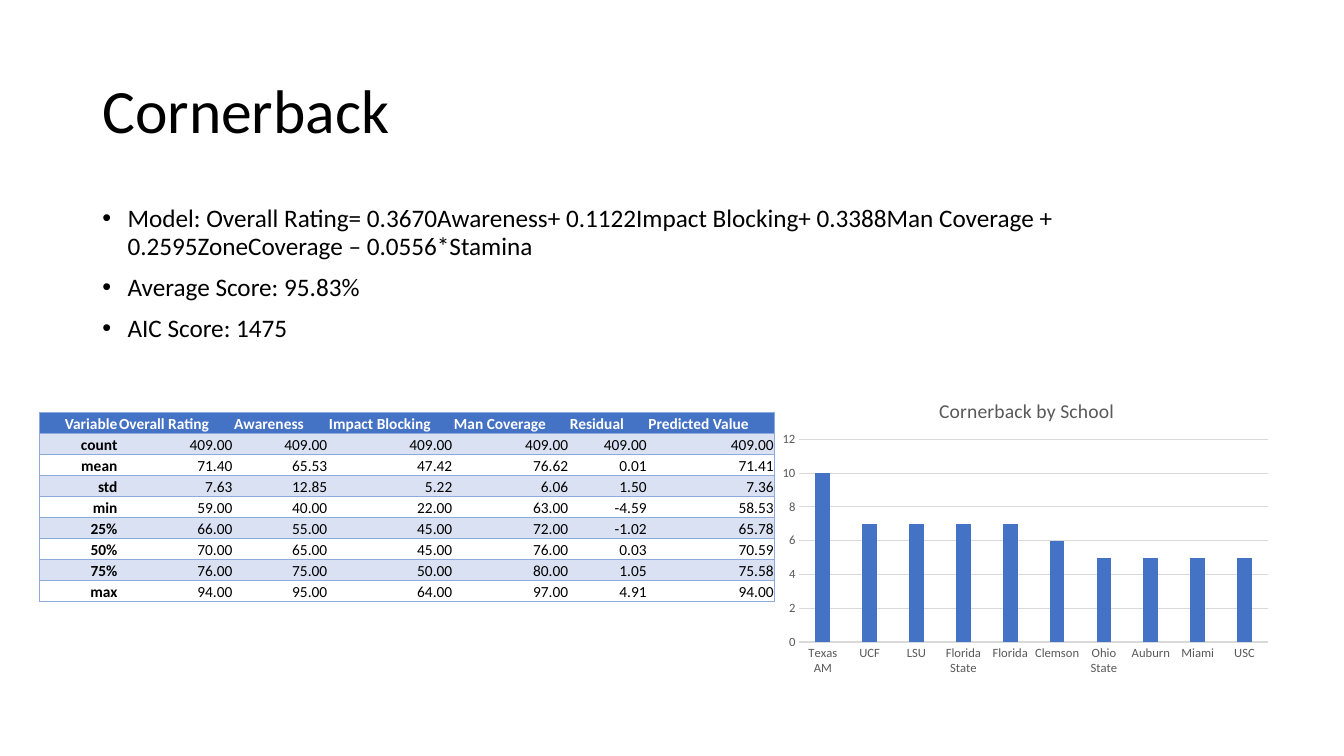
"""Build the Cornerback model summary slide."""
from dataclasses import dataclass

from lxml.etree import SubElement
from pptx import Presentation
from pptx.chart.data import CategoryChartData
from pptx.dml.color import RGBColor
from pptx.enum.chart import XL_CHART_TYPE as CHART, XL_TICK_MARK as TICK
from pptx.enum.text import MSO_ANCHOR as ANCHOR, PP_ALIGN as ALIGN
from pptx.oxml import parse_xml
from pptx.oxml.ns import nsdecls, qn
from pptx.util import Cm, Pt

FONT = "Calibri"
COLORS = {
    "text": "000000",
    "muted": "595959",
    "grid": "D9D9D9",
    "accent": "4472C4",
    "band": "D9E1F2",
    "border": "8EA9DB",
    "white": "FFFFFF",
}
NO_STYLE = "{2D5ABB26-0587-4C30-8999-92F81FD0307C}"


@dataclass
class Box:
    left: float
    top: float
    width: float
    height: float

    def lengths(self) -> list:
        return [Cm(v) for v in (self.left, self.top, self.width, self.height)]


@dataclass
class Column:
    name: str
    width: float
    values: str


BULLETS = [
    "Model: Overall Rating= 0.3670Awareness+ 0.1122Impact Blocking+ "
    "0.3388Man Coverage + 0.2595ZoneCoverage – 0.0556*Stamina",
    "Average Score: 95.83%",
    "AIC Score: 1475",
]
COLUMNS = [
    Column("Variable", 1.98, "count mean std min 25% 50% 75% max"),
    Column("Overall Rating", 2.9, "409.00 71.40 7.63 59.00 66.00 70.00 76.00 94.00"),
    Column("Awareness", 2.39, "409.00 65.53 12.85 40.00 55.00 65.00 75.00 95.00"),
    Column("Impact Blocking", 3.15, "409.00 47.42 5.22 22.00 45.00 45.00 50.00 64.00"),
    Column("Man Coverage", 2.92, "409.00 76.62 6.06 63.00 72.00 76.00 80.00 97.00"),
    Column("Residual", 1.98, "409.00 0.01 1.50 -4.59 -1.02 0.03 1.05 4.91"),
    Column("Predicted Value", 3.2, "409.00 71.41 7.36 58.53 65.78 70.59 75.58 94.00"),
]
SCHOOLS = {
    "Texas AM": 10, "UCF": 7, "LSU": 7, "Florida State": 7, "Florida": 7,
    "Clemson": 6, "Ohio State": 5, "Auburn": 5, "Miami": 5, "USC": 5,
}


def rgb(name: str) -> RGBColor:
    return RGBColor.from_string(COLORS[name])


def style_font(font, size: float, color: str = "text", bold: bool = False) -> None:
    font.name, font.size, font.bold = FONT, Pt(size), bold
    font.color.rgb = rgb(color)


def write(p, text: str, *, size: float, color: str = "text", bold: bool = False,
          align=ALIGN.LEFT, spacing: float = 1.0, before: float = 0,
          bullet: bool = False) -> None:
    p.alignment, p.line_spacing, p.space_before = align, spacing, Pt(before)
    if bullet:
        pPr = p._p.get_or_add_pPr()
        pPr.set("marL", str(Cm(0.635)))
        pPr.set("indent", str(-Cm(0.635)))
        SubElement(pPr, qn("a:buFont"), typeface="Arial")
        SubElement(pPr, qn("a:buChar"), char="•")
    r = p.add_run()
    r.text = text
    style_font(r.font, size, color, bold)


def add_text(slide, box: Box, lines: list[str], anchor, **fmt) -> None:
    tf = slide.shapes.add_textbox(*box.lengths()).text_frame
    tf.word_wrap, tf.vertical_anchor = True, anchor
    for i, line in enumerate(lines):
        p = tf.add_paragraph() if i else tf.paragraphs[0]
        write(p, line, spacing=0.9, before=10 if i else 0, **fmt)


def add_borders(cell, sides: str) -> None:
    tcPr = cell._tc.get_or_add_tcPr()
    for side in sides:
        ln = SubElement(tcPr, qn(f"a:ln{side}"), w=str(Pt(0.5)))
        SubElement(SubElement(ln, qn("a:solidFill")), qn("a:srgbClr"), val=COLORS["border"])


def add_stats_table(slide, box: Box) -> None:
    grid = list(zip(*([c.name, *c.values.split()] for c in COLUMNS)))
    last = len(COLUMNS) - 1
    frame = slide.shapes.add_table(len(grid), len(COLUMNS), *box.lengths())
    table = frame.table
    table.first_row = table.horz_banding = False
    table._tbl.tblPr.find(qn("a:tableStyleId")).text = NO_STYLE
    for col, column in zip(table.columns, COLUMNS):
        col.width = Cm(column.width)
    for i, texts in enumerate(grid):
        table.rows[i].height = Cm(box.height / len(grid))
        for j, text in enumerate(texts):
            cell = table.cell(i, j)
            cell.margin_left = cell.margin_right = cell.margin_top = Cm(0.02)
            cell.margin_bottom = 0
            cell.vertical_anchor = ANCHOR.BOTTOM
            add_borders(cell, ("L" if j == 0 else "") + ("R" if j == last else "") + "TB")
            if i % 2 or i == 0:
                cell.fill.solid()
                cell.fill.fore_color.rgb = rgb("band" if i else "accent")
            else:
                cell.fill.background()
            write(cell.text_frame.paragraphs[0], text, size=11,
                  color="text" if i else "white", bold=i == 0 or j == 0,
                  align=ALIGN.RIGHT if i or j == 0 else ALIGN.LEFT)


def place(element, index: int, **values) -> None:
    for old in element.findall(qn("c:layout")):
        element.remove(old)
    layout = parse_xml(f"<c:layout {nsdecls('c')}><c:manualLayout/></c:layout>")
    for tag, value in values.items():
        SubElement(layout[0], qn(f"c:{tag}"), val=str(value))
    element.insert(index, layout)


def add_school_chart(slide, box: Box) -> None:
    data = CategoryChartData()
    data.categories = list(SCHOOLS)
    data.add_series("Series 1", list(SCHOOLS.values()))
    chart = slide.shapes.add_chart(CHART.COLUMN_CLUSTERED, *box.lengths(), data).chart
    style_font(chart.font, 10)
    chart.has_legend = False

    chart.has_title = True
    title = chart.chart_title
    write(title.text_frame.paragraphs[0], "Cornerback by School", size=14,
          color="muted", align=ALIGN.CENTER)
    title.include_in_layout = False
    place(title._element, 1, xMode="edge", yMode="edge", x=0.32, y=0.05)
    place(chart._chartSpace.chart.plotArea, 0, layoutTarget="inner", xMode="edge",
          yMode="edge", x=0.05, y=0.2, w=0.93, h=0.67)

    plot = chart.plots[0]
    plot.gap_width, plot.overlap, plot.vary_by_categories = 219, -27, False
    fill = plot.series[0].format.fill
    fill.solid()
    fill.fore_color.rgb = rgb("accent")

    cat, val = chart.category_axis, chart.value_axis
    for axis in (cat, val):
        axis.major_tick_mark = axis.minor_tick_mark = TICK.NONE
        style_font(axis.tick_labels.font, 9, "muted")
    val.minimum_scale, val.maximum_scale, val.major_unit = 0, 12, 2
    val.has_major_gridlines = True
    val.format.line.fill.background()
    for line in (cat.format.line, val.major_gridlines.format.line):
        line.width = Pt(0.75)
        line.color.rgb = rgb("grid")


def main() -> None:
    prs = Presentation()
    prs.slide_width, prs.slide_height = Cm(33.87), Cm(19.05)
    slide = prs.slides.add_slide(prs.slide_layouts[6])
    add_text(slide, Box(2.33, 1.01, 29.21, 3.68), ["Cornerback"], ANCHOR.MIDDLE, size=44)
    add_text(slide, Box(2.33, 5.07, 29.21, 12.09), BULLETS, ANCHOR.TOP, size=18, bullet=True)
    add_school_chart(slide, Box(19.51, 9.55, 12.7, 7.62))
    add_stats_table(slide, Box(1, 10.39, 18.52, 4.77))
    prs.save("out.pptx")


if __name__ == "__main__":
    main()
